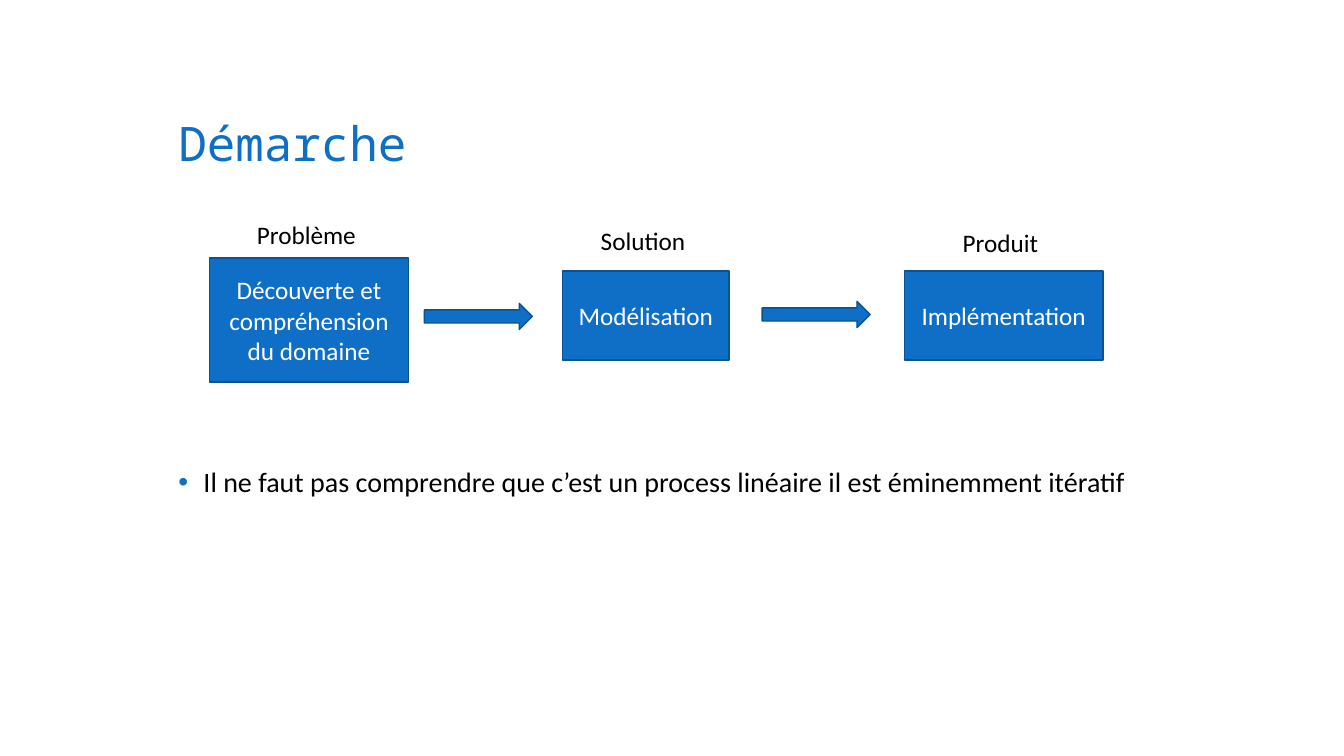
from lxml import etree
from pptx import Presentation
from pptx.dml.color import RGBColor
from pptx.enum.shapes import MSO_SHAPE
from pptx.enum.text import MSO_ANCHOR, MSO_AUTO_SIZE, PP_ALIGN
from pptx.oxml.ns import qn
from pptx.util import Inches, Pt

BLUE, EDGE, BLACK, WHITE = "0F6FC6", "0B5292", "000000", "FFFFFF"

TITLE = "Démarche"
REMARK = "Il ne faut pas comprendre que c’est un process linéaire il est éminemment itératif"
STEPS = [
    ("Découverte et compréhension du domaine", (2.08, 2.56, 1.97, 1.23)),
    ("Modélisation", (5.58, 2.69, 1.65, 0.88)),
    ("Implémentation", (8.97, 2.69, 1.97, 0.88)),
]
LABELS = [
    ("Problème", (2.45, 2.13, 1.24, 0.36)),
    ("Solution", (5.86, 2.19, 1.09, 0.36)),
    ("Produit", (9.45, 2.21, 0.99, 0.36)),
]
ARROWS = [(4.21, 3.01, 1.07, 0.26), (7.56, 2.99, 1.07, 0.26)]


def rgb(value):
    return RGBColor.from_string(value)


def write(shape, text, size, color, font="Calibri", anchor=MSO_ANCHOR.TOP, wrap=True):
    frame = shape.text_frame
    frame.word_wrap = wrap
    frame.vertical_anchor = anchor
    paragraph = frame.paragraphs[0]
    run = paragraph.add_run()
    run.text = text
    run.font.size = Pt(size)
    run.font.name = font
    run.font.color.rgb = rgb(color)
    return paragraph


def add_text(slide, box):
    return slide.shapes.add_textbox(*map(Inches, box))


def add_block(slide, kind, box):
    block = slide.shapes.add_shape(kind, *map(Inches, box))
    block.shadow.inherit = False
    block.fill.solid()
    block.fill.fore_color.rgb = rgb(BLUE)
    block.line.color.rgb = rgb(EDGE)
    block.line.width = Pt(1)
    return block


def add_bullet(paragraph):
    properties = paragraph._p.get_or_add_pPr()
    properties.set("marL", str(Inches(0.25)))
    properties.set("indent", str(-Inches(0.25)))
    color = etree.SubElement(properties, qn("a:buClr"))
    etree.SubElement(color, qn("a:srgbClr")).set("val", BLUE)
    etree.SubElement(properties, qn("a:buFont")).set("typeface", "Arial")
    etree.SubElement(properties, qn("a:buChar")).set("char", "•")


def main():
    deck = Presentation()
    deck.slide_width, deck.slide_height = Inches(13.33), Inches(7.5)
    slide = deck.slides.add_slide(deck.slide_layouts[6])

    heading = write(add_text(slide, (1.67, 0.5, 10, 1.25)), TITLE, 34, BLUE,
                    "Noto Sans Mono", MSO_ANCHOR.BOTTOM)
    heading.line_spacing = 0.9

    remark = write(add_text(slide, (1.67, 4.6, 10, 2.07)), REMARK, 20, BLACK)
    add_bullet(remark)
    remark.line_spacing = 0.9

    for step, box in STEPS:
        block = add_block(slide, MSO_SHAPE.RECTANGLE, box)
        write(block, step, 18, WHITE, anchor=MSO_ANCHOR.MIDDLE).alignment = PP_ALIGN.CENTER

    for box in ARROWS:
        add_block(slide, MSO_SHAPE.RIGHT_ARROW, box)

    for label, box in LABELS:
        caption = add_text(slide, box)
        write(caption, label, 18, BLACK, wrap=False)
        caption.text_frame.auto_size = MSO_AUTO_SIZE.SHAPE_TO_FIT_TEXT

    deck.save("out.pptx")


if __name__ == "__main__":
    main()
